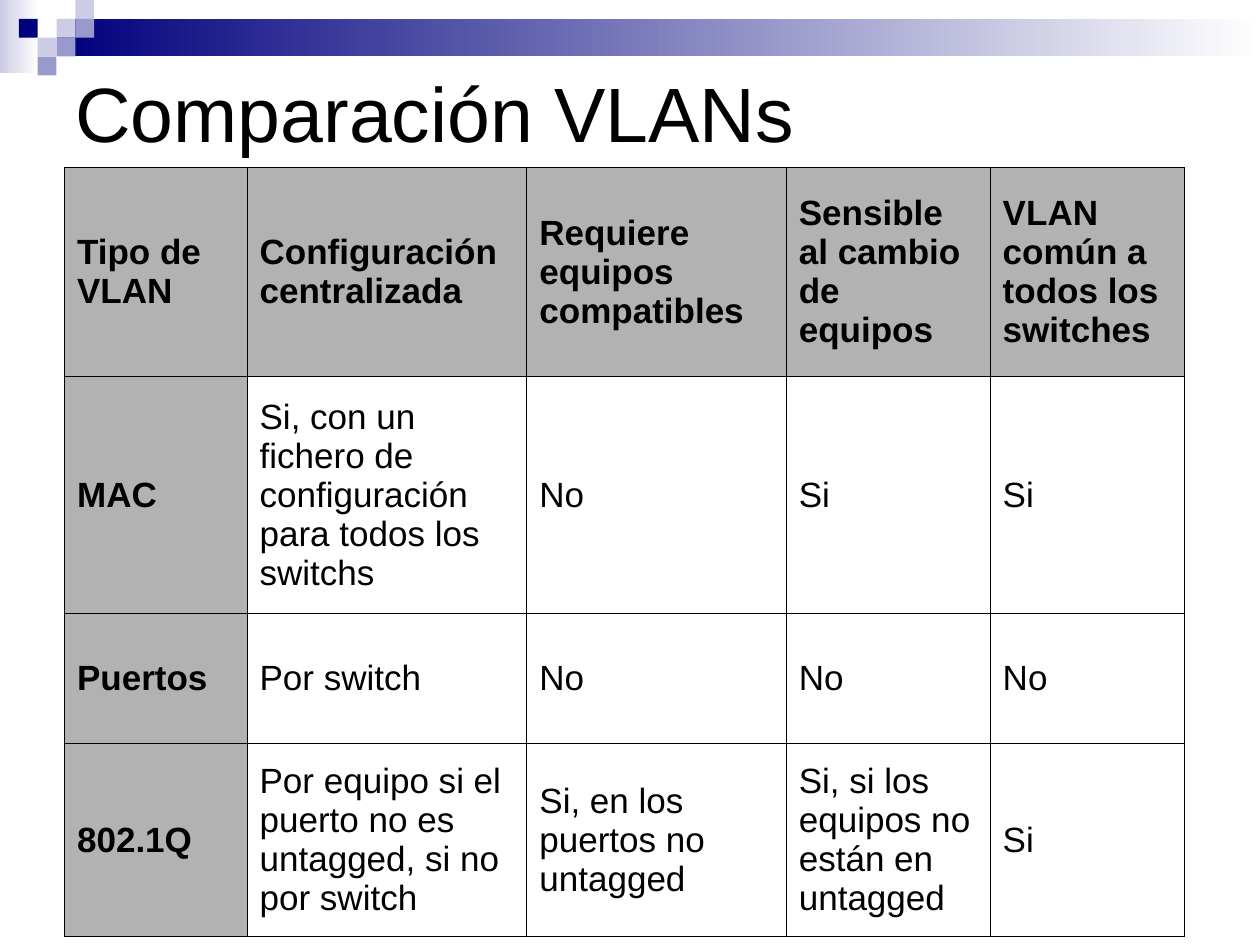
"""Build the slide comparing the types of VLAN."""
from dataclasses import dataclass

import pptx
import pptx.dml.color
import pptx.enum.shapes
import pptx.enum.text
import pptx.oxml
import pptx.oxml.ns
import pptx.util
from pptx.util import Cm

COLORS = {
    "navy": "00007D",
    "violet": "9999CC",
    "lavender": "CCCCE6",
    "white": "FFFFFF",
    "black": "000000",
    "heading": "B2B2B2",
}
FONT = "Arial"
TILE = 0.38
BORDER_PT = 0.45
COLUMN_WIDTHS = (3.68, 5.64, 5.23, 4.11, 3.91)
ROW_HEIGHTS = (4.22, 4.78, 2.62, 3.89)
COMPARISON = (
    ("Tipo de VLAN", "Configuración centralizada", "Requiere equipos compatibles",
     "Sensible al cambio de equipos", "VLAN común a todos los switches"),
    ("MAC", "Si, con un fichero de configuración para todos los switchs",
     "No", "Si", "Si"),
    ("Puertos", "Por switch", "No", "No", "No"),
    ("802.1Q", "Por equipo si el puerto no es untagged, si no por switch",
     "Si, en los puertos no untagged",
     "Si, si los equipos no están en untagged", "Si"),
)


@dataclass(frozen=True)
class Band:
    left: float
    top: float
    width: float
    height: float
    color: str


@dataclass(frozen=True)
class Tile:
    column: int
    row: int
    color: str


BANDS = (
    Band(0, 0, 0.79, 1.47, "lavender"),
    Band(1.14, 0.38, 24.26, 0.76, "navy"),
)
TILES = (
    Tile(3, 1, "lavender"),
    Tile(4, 0, "lavender"),
    Tile(4, 1, "violet"),
    Tile(2, 2, "lavender"),
    Tile(1, 1, "navy"),
    Tile(3, 2, "violet"),
    Tile(2, 3, "violet"),
)


def rgb(name: str) -> pptx.dml.color.RGBColor:
    return pptx.dml.color.RGBColor.from_string(COLORS[name])


def add_rectangle(slide, left: float, top: float, width: float, height: float):
    rectangle = slide.shapes.add_shape(
        pptx.enum.shapes.MSO_SHAPE.RECTANGLE, Cm(left), Cm(top), Cm(width), Cm(height))
    rectangle.shadow.inherit = False
    rectangle.line.fill.background()
    return rectangle


def draw_band(slide, band: Band) -> None:
    fill = add_rectangle(slide, band.left, band.top, band.width, band.height).fill
    fill.gradient()
    fill.gradient_angle = 180
    for stop, color in zip(fill.gradient_stops, ("white", band.color)):
        stop.color.rgb = rgb(color)


def draw_tile(slide, tile: Tile) -> None:
    fill = add_rectangle(slide, tile.column * TILE, tile.row * TILE, TILE, TILE).fill
    fill.solid()
    fill.fore_color.rgb = rgb(tile.color)


def set_font(paragraph, size: int, bold: bool = False) -> None:
    font = paragraph.font
    font.name = FONT
    font.size = pptx.util.Pt(size)
    font.bold = bold
    font.color.rgb = rgb("black")


def draw_title(slide, text: str) -> None:
    title = slide.shapes.add_textbox(Cm(1.27), Cm(1.17), Cm(22.86), Cm(2.18)).text_frame
    title.word_wrap = True
    title.vertical_anchor = pptx.enum.text.MSO_ANCHOR.MIDDLE
    title.text = text
    set_font(title.paragraphs[0], 44)


def set_borders(cell) -> None:
    properties = cell._tc.get_or_add_tcPr()
    for position, side in enumerate(("lnL", "lnR", "lnT", "lnB")):
        border = pptx.oxml.parse_xml(
            f'<a:{side} {pptx.oxml.ns.nsdecls("a")} w="{pptx.util.Pt(BORDER_PT)}">'
            f'<a:solidFill><a:srgbClr val="{COLORS["black"]}"/></a:solidFill></a:{side}>')
        properties.insert(position, border)


def fill_cell(cell, text: str, heading: bool) -> None:
    cell.text = text
    cell.vertical_anchor = pptx.enum.text.MSO_ANCHOR.MIDDLE
    set_font(cell.text_frame.paragraphs[0], 20, heading)
    if heading:
        cell.fill.solid()
        cell.fill.fore_color.rgb = rgb("heading")
    else:
        cell.fill.background()
    set_borders(cell)


def draw_comparison(slide) -> None:
    table = slide.shapes.add_table(
        len(ROW_HEIGHTS), len(COLUMN_WIDTHS), Cm(1.3), Cm(3.37),
        Cm(sum(COLUMN_WIDTHS)), Cm(sum(ROW_HEIGHTS))).table
    table.first_row = False
    table.horz_banding = False
    for column, width in zip(table.columns, COLUMN_WIDTHS):
        column.width = Cm(width)
    for row, height in zip(table.rows, ROW_HEIGHTS):
        row.height = Cm(height)
    for row_index, texts in enumerate(COMPARISON):
        for column_index, text in enumerate(texts):
            heading = row_index == 0 or column_index == 0
            fill_cell(table.cell(row_index, column_index), text, heading)


def main() -> None:
    presentation = pptx.Presentation()
    presentation.slide_width = Cm(25.4)
    presentation.slide_height = Cm(19.05)
    slide = presentation.slides.add_slide(presentation.slide_layouts[6])
    for band in BANDS:
        draw_band(slide, band)
    for tile in TILES:
        draw_tile(slide, tile)
    draw_title(slide, "Comparación VLANs")
    draw_comparison(slide)
    presentation.save("out.pptx")


if __name__ == "__main__":
    main()
